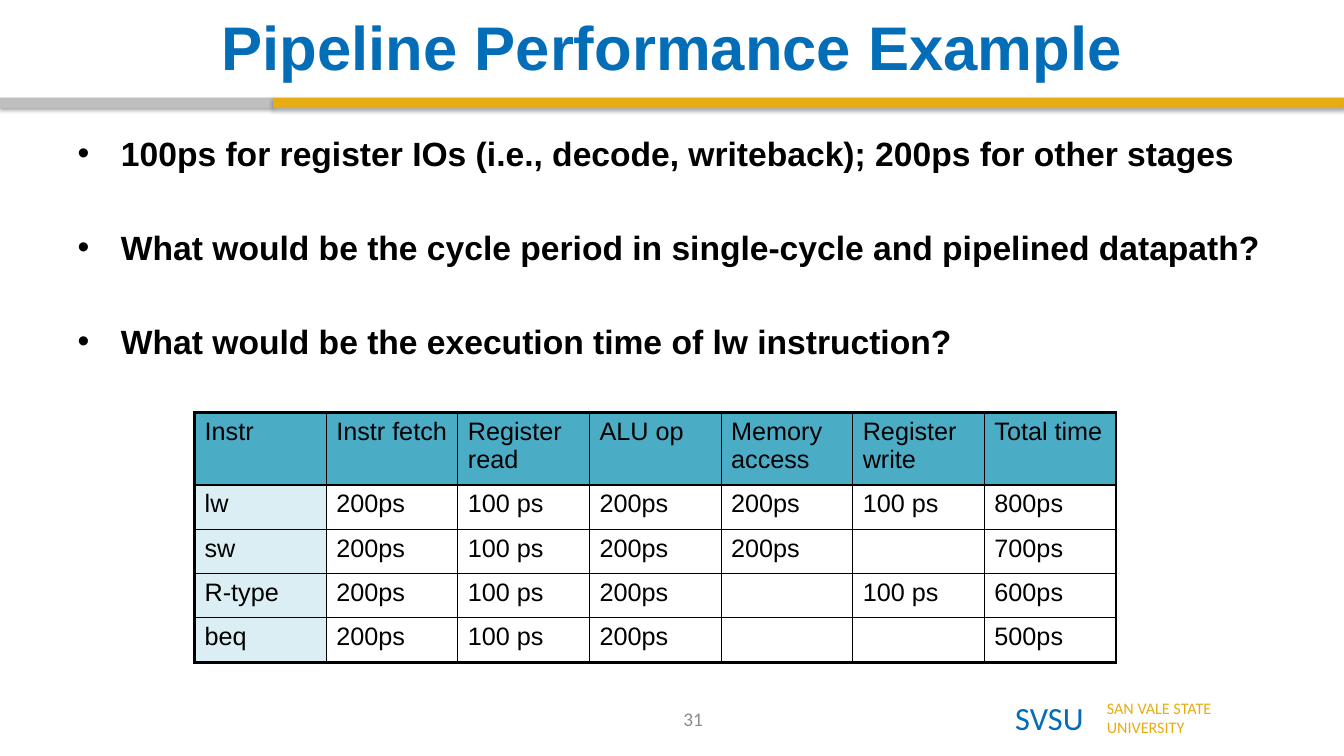
import pptx
import pptx.dml.color
import pptx.enum.shapes
import pptx.enum.text
import pptx.oxml
import pptx.oxml.ns
import pptx.util
from dataclasses import dataclass

TITLE = "Pipeline Performance Example"
QUESTIONS = [
    "100ps for register IOs (i.e., decode, writeback); 200ps for other stages",
    "What would be the cycle period in single-cycle and pipelined datapath?",
    "What would be the execution time of lw instruction?",
]
STAGE_TIMES = [
    ["Instr", "Instr fetch", "Register read", "ALU op", "Memory access", "Register write", "Total time"],
    ["lw", "200ps", "100 ps", "200ps", "200ps", "100 ps", "800ps"],
    ["sw", "200ps", "100 ps", "200ps", "200ps", "", "700ps"],
    ["R-type", "200ps", "100 ps", "200ps", "", "100 ps", "600ps"],
    ["beq", "200ps", "100 ps", "200ps", "", "", "500ps"],
]
SCHOOL_SHORT = ["SVSU"]
SCHOOL_FULL = ["SAN VALE STATE", "UNIVERSITY"]
PAGE_NUMBER = ["31"]


@dataclass(frozen=True)
class Theme:
    blue: str = "036DB7"
    gold: str = "E7AC11"
    silver: str = "BFBFBF"
    grey: str = "8C8C8C"
    black: str = "000000"
    header_fill: str = "4BACC6"
    label_fill: str = "DBEEF4"
    main_font: str = "Arial"
    footer_font: str = "Calibri"
    title_size: float = 44
    body_size: float = 24
    cell_size: float = 18
    short_size: float = 23.1
    full_size: float = 11.5
    number_size: float = 13.8
    outer_line: float = 2.25
    header_line: float = 1.5
    inner_line: float = 1


THEME = Theme()
INCH = pptx.util.Inches
POINT = pptx.util.Pt
ALIGN = pptx.enum.text.PP_ALIGN
ANCHOR = pptx.enum.text.MSO_ANCHOR
WIDTH, HEIGHT = 13.33, 7.5
BAND_TOP, BAND_HEIGHT, BAND_SPLIT = 0.97, 0.1, 2.71
TABLE_LEFT, TABLE_TOP, TABLE_WIDTH = 1.93, 4.09, 9.14
HEADER_HEIGHT, ROW_HEIGHT = 0.72, 0.44
FOOTER_TOP = 6.88


def rgb(value):
    return pptx.dml.color.RGBColor.from_string(value)


def place(shape, left, top, width, height):
    shape.left, shape.top = INCH(left), INCH(top)
    shape.width, shape.height = INCH(width), INCH(height)


def add_run(paragraph, text, size, color, font=THEME.main_font, bold=False):
    run = paragraph.add_run()
    run.text = text
    run.font.size, run.font.name, run.font.bold = POINT(size), font, bold
    run.font.color.rgb = rgb(color)


def write_lines(frame, lines, *style, **options):
    """Write one paragraph per line and return the paragraphs."""
    paragraphs = []
    for index, line in enumerate(lines):
        paragraph = frame.add_paragraph() if index else frame.paragraphs[0]
        add_run(paragraph, line, *style, **options)
        paragraphs.append(paragraph)
    return paragraphs


def add_band(slide, left, right, color):
    band = slide.shapes.add_shape(
        pptx.enum.shapes.MSO_SHAPE.RECTANGLE,
        INCH(left), INCH(BAND_TOP), INCH(right - left), INCH(BAND_HEIGHT))
    band.fill.solid()
    band.fill.fore_color.rgb = rgb(color)
    band.line.fill.background()
    band.shadow.inherit = False
    effects = band._element.spPr.find(pptx.oxml.ns.qn("a:effectLst"))
    effects.append(pptx.oxml.parse_xml(
        f'<a:outerShdw {pptx.oxml.ns.nsdecls("a")} blurRad="{POINT(3.1)}" dist="{POINT(1.8)}" '
        f'dir="5400000" rotWithShape="0"><a:srgbClr val="{THEME.black}">'
        '<a:alpha val="35000"/></a:srgbClr></a:outerShdw>'))


def add_footer(slide, lines, box, size, color, align, anchor):
    footer = slide.shapes.add_textbox(*map(INCH, box))
    frame = footer.text_frame
    frame.word_wrap, frame.vertical_anchor = True, anchor
    if align == ALIGN.LEFT:
        frame.margin_right = 0
    for paragraph in write_lines(frame, lines, size, color, font=THEME.footer_font):
        paragraph.alignment = align


def set_borders(cell, widths):
    """Draw the left, right, top and bottom borders, widths in points."""
    properties = cell._tc.get_or_add_tcPr()
    for position, (side, width) in enumerate(zip("LRTB", widths)):
        properties.insert(position, pptx.oxml.parse_xml(
            f'<a:ln{side} {pptx.oxml.ns.nsdecls("a")} w="{POINT(width)}">'
            f'<a:solidFill><a:srgbClr val="{THEME.black}"/></a:solidFill></a:ln{side}>'))


def add_stage_table(slide):
    row_count, column_count = len(STAGE_TIMES), len(STAGE_TIMES[0])
    table_height = HEADER_HEIGHT + (row_count - 1) * ROW_HEIGHT
    table = slide.shapes.add_table(
        row_count, column_count, INCH(TABLE_LEFT), INCH(TABLE_TOP),
        INCH(TABLE_WIDTH), INCH(table_height)).table
    table.first_row = table.horz_banding = False
    for column in table.columns:
        column.width = INCH(TABLE_WIDTH / column_count)
    row_lines = [THEME.outer_line, THEME.header_line,
                 *[THEME.inner_line] * (row_count - 2), THEME.outer_line]
    column_lines = [THEME.outer_line, *[THEME.inner_line] * (column_count - 1), THEME.outer_line]
    for row, texts in enumerate(STAGE_TIMES):
        table.rows[row].height = INCH(ROW_HEIGHT if row else HEADER_HEIGHT)
        for column, text in enumerate(texts):
            cell = table.cell(row, column)
            if row == 0 or column == 0:
                cell.fill.solid()
                cell.fill.fore_color.rgb = rgb(THEME.label_fill if row else THEME.header_fill)
            else:
                cell.fill.background()
            set_borders(cell, column_lines[column:column + 2] + row_lines[row:row + 2])
            if text:
                add_run(cell.text_frame.paragraphs[0], text, THEME.cell_size, THEME.black)


def add_title(slide):
    title = slide.shapes.title
    place(title, 0.67, 0.08, 12, 0.76)
    frame = title.text_frame
    frame.auto_size = pptx.enum.text.MSO_AUTO_SIZE.NONE
    frame.vertical_anchor = ANCHOR.MIDDLE
    paragraph, = write_lines(frame, [TITLE], THEME.title_size, THEME.blue, bold=True)
    paragraph.alignment = ALIGN.CENTER


def add_questions(slide):
    body = slide.placeholders[1]
    place(body, 0.67, 1.27, 12.13, 5.43)
    frame = body.text_frame
    frame.auto_size = pptx.enum.text.MSO_AUTO_SIZE.NONE
    paragraphs = write_lines(frame, QUESTIONS, THEME.body_size, THEME.black, bold=True)
    for index, paragraph in enumerate(paragraphs):
        paragraph.space_before = POINT(38.2 if index else 2.5)
        properties = paragraph._p.get_or_add_pPr()
        properties.set("marL", str(INCH(0.43)))
        properties.set("indent", str(INCH(-0.43)))


def main():
    presentation = pptx.Presentation()
    presentation.slide_width, presentation.slide_height = INCH(WIDTH), INCH(HEIGHT)
    slide = presentation.slides.add_slide(presentation.slide_layouts[1])
    add_footer(slide, SCHOOL_SHORT, (9.97, FOOTER_TOP, 0.9, 0.49),
               THEME.short_size, THEME.blue, ALIGN.LEFT, ANCHOR.TOP)
    add_footer(slide, SCHOOL_FULL, (10.88, FOOTER_TOP, 1.26, 0.49),
               THEME.full_size, THEME.gold, ALIGN.LEFT, ANCHOR.TOP)
    add_band(slide, 0, BAND_SPLIT, THEME.silver)
    add_band(slide, BAND_SPLIT, WIDTH, THEME.gold)
    add_title(slide)
    add_questions(slide)
    add_stage_table(slide)
    add_footer(slide, PAGE_NUMBER, (5.32, 6.93, 3.11, 0.4),
               THEME.number_size, THEME.grey, ALIGN.CENTER, ANCHOR.MIDDLE)
    presentation.save("out.pptx")


if __name__ == "__main__":
    main()
